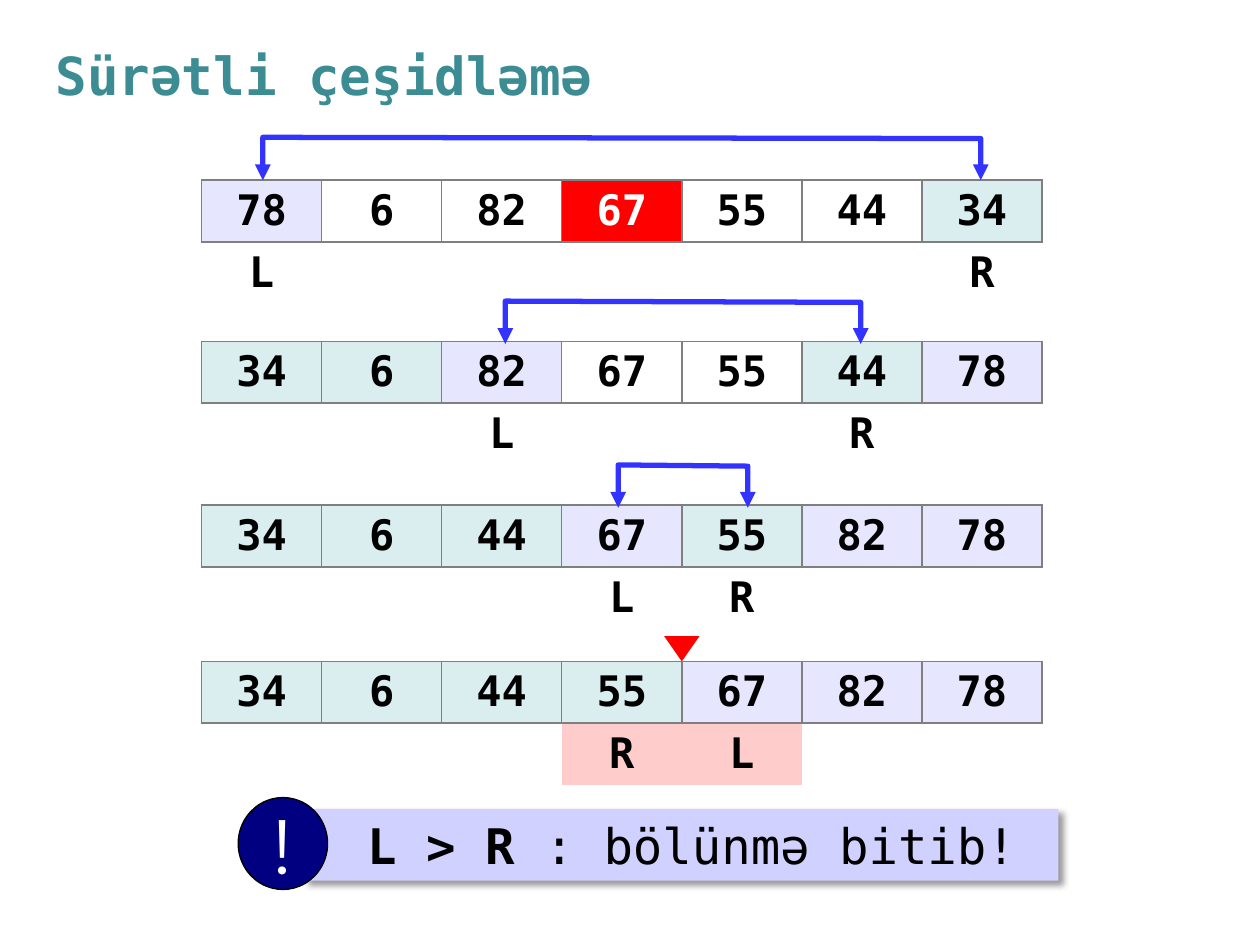
from lxml import etree
from pptx import Presentation
from pptx.dml.color import RGBColor
from pptx.enum.shapes import MSO_SHAPE
from pptx.enum.text import MSO_ANCHOR, PP_ALIGN
from pptx.oxml import parse_xml
from pptx.oxml.ns import nsdecls, qn
from pptx.util import Inches, Pt

CENTER, LEFT = PP_ALIGN.CENTER, PP_ALIGN.LEFT
MIDDLE, TOP = MSO_ANCHOR.MIDDLE, MSO_ANCHOR.TOP
RECTANGLE, OVAL, TRIANGLE = MSO_SHAPE.RECTANGLE, MSO_SHAPE.OVAL, MSO_SHAPE.ISOSCELES_TRIANGLE

MONO = "DejaVu Sans Mono"
COLORS = {
    "title": "3C8C93", "text": "000000", "light": "FFFFFF", "grid": "7F7F7F",
    "high": "E6E6FF", "low": "DAEDEF", "pivot": "FF0000", "crossed": "FFCCCC",
    "swap": "3333FF", "banner": "D1D1FF", "badge": "000080",
}
CELL_FILLS = {"H": "high", "L": "low", "P": "pivot", "X": "crossed"}
PLAIN_STYLE = "{2D5ABB26-0587-4C30-8999-92F81FD0307C}"

GRID_LEFT, GRID_WIDTH, COLUMNS = 1.6, 6.67, 7
COLUMN, ROW = GRID_WIDTH / COLUMNS, 0.49

# Each step: top, values, value fills, markers by column, marker fill, swap columns, arrow drop.
STEPS = [
    (1.43, (78, 6, 82, 67, 55, 44, 34), "H--P--L", {0: "L", 6: "R"}, "-", (0.51, 6.49), 0),
    (2.71, (34, 6, 82, 67, 55, 44, 78), "LLH--LH", {2: "L", 5: "R"}, "-", (2.53, 5.49), 0.02),
    (4.01, (34, 6, 44, 67, 55, 82, 78), "LLLHLHH", {3: "L", 4: "R"}, "-", (3.47, 4.55), 0.02),
    (5.25, (34, 6, 44, 55, 67, 82, 78), "LLLLHHH", {3: "R", 4: "L"}, "X", None, 0),
]


def rgb(name):
    """Return the named palette colour."""
    return RGBColor.from_string(COLORS[name])


def add_run(paragraph, text, size, color="text", bold=False, font=MONO):
    """Append one formatted run."""
    run = paragraph.add_run()
    run.text = text
    run.font.name, run.font.size, run.font.bold = font, Pt(size), bold
    run.font.color.rgb = rgb(color)


def add_figure(shapes, kind, left, top, width, height, color):
    """Add a flat filled preset shape without an outline."""
    figure = shapes.add_shape(kind, *map(Inches, (left, top, width, height)))
    figure.shadow.inherit = False
    figure.fill.solid()
    figure.fill.fore_color.rgb = rgb(color)
    figure.line.fill.background()
    return figure


def fill_title(title, left, top, width, height):
    """Place and format the title placeholder."""
    title.left, title.top, title.width, title.height = map(Inches, (left, top, width, height))
    title.text_frame.vertical_anchor = MIDDLE
    paragraph = title.text_frame.paragraphs[0]
    paragraph.alignment = LEFT
    add_run(paragraph, "Sürətli çeşidləmə", 30, "title", True)


def format_cell(cell, text, fill_code, sides):
    """Write a centred cell with its fill and the listed border sides."""
    if fill_code in CELL_FILLS:
        cell.fill.solid()
        cell.fill.fore_color.rgb = rgb(CELL_FILLS[fill_code])
    else:
        cell.fill.background()
    properties = cell._tc.get_or_add_tcPr()
    for index, side in enumerate(sides):
        properties.insert(index, parse_xml(
            f'<a:ln{side} {nsdecls("a")} w="12700"><a:solidFill>'
            f'<a:srgbClr val="{COLORS["grid"]}"/></a:solidFill></a:ln{side}>'))
    if text:
        paragraph = cell.text_frame.paragraphs[0]
        paragraph.alignment = CENTER
        add_run(paragraph, text, 24, "light" if fill_code == "P" else "text", True)


def add_array(slide, top, values, fills, markers, marker_fill):
    """Add one array state with its L and R markers beneath."""
    frame = slide.shapes.add_table(
        2, COLUMNS, *map(Inches, (GRID_LEFT, top, GRID_WIDTH, 2 * ROW)))
    table = frame.table
    table.first_row = table.horz_banding = False
    table._tbl.tblPr.find(qn("a:tableStyleId")).text = PLAIN_STYLE
    for column, value in enumerate(values):
        table.columns[column].width = Inches(COLUMN)
        format_cell(table.cell(0, column), str(value), fills[column], "LRTB")
        marker = markers.get(column, "")
        format_cell(table.cell(1, column), marker, marker_fill if marker else "-", "T")


def add_swap(slide, top, columns, drop):
    """Add a double-headed bracket arrow over two array columns."""
    start, end = (GRID_LEFT + column * COLUMN for column in columns)
    tip, rise = top + drop, top + drop - 0.34
    points = [(start, tip), (start, rise), (end, rise + 0.01), (end, tip)]
    corners = [tuple(map(Inches, point)) for point in points]
    builder = slide.shapes.build_freeform(*corners[0])
    builder.add_line_segments(corners[1:], close=False)
    arrow = builder.convert_to_shape()
    arrow.shadow.inherit = False
    arrow.fill.background()
    arrow.line.color.rgb = rgb("swap")
    arrow.line.width = Pt(3)
    outline = arrow.line._get_or_add_ln()
    etree.SubElement(outline, qn("a:round"))
    for end_tag in ("a:headEnd", "a:tailEnd"):
        etree.SubElement(outline, qn(end_tag), type="triangle")


def add_split_mark(slide, top):
    """Add the downward triangle at the split between columns four and five."""
    width, height = 0.28, 0.2
    mark = add_figure(slide.shapes, TRIANGLE, GRID_LEFT + 4 * COLUMN - width / 2,
                      top - height, width, height, "pivot")
    mark._element.spPr.get_or_add_xfrm().set("flipV", "1")


def add_conclusion(slide, left, top, width, height):
    """Add the shadowed banner with its round exclamation badge."""
    shapes = slide.shapes.add_group_shape().shapes
    badge_width = 0.71
    inset = 0.53
    banner = add_figure(shapes, RECTANGLE, left + inset, top + 0.09,
                        width - inset, 0.57, "banner")
    effects = banner._element.spPr.find(qn("a:effectLst"))
    effects.append(parse_xml(
        f'<a:outerShdw {nsdecls("a")} blurRad="50800" dist="38100" dir="2700000" '
        'algn="tl" rotWithShape="0"><a:srgbClr val="000000"><a:alpha val="40000"/>'
        '</a:srgbClr></a:outerShdw>'))
    frame = banner.text_frame
    frame.word_wrap = True
    frame.vertical_anchor = TOP
    frame.margin_left = Inches(0.5)
    paragraph = frame.paragraphs[0]
    paragraph.alignment = LEFT
    add_run(paragraph, "L > R ", 28, bold=True)
    add_run(paragraph, ": bölünmə bitib!", 28)

    badge = add_figure(shapes, OVAL, left, top, badge_width, height, "badge")
    badge.line.color.rgb = rgb("text")
    badge.line.width = Pt(0.75)
    badge.text_frame.word_wrap = False
    badge.text_frame.vertical_anchor = MIDDLE
    sign = badge.text_frame.paragraphs[0]
    sign.alignment = CENTER
    add_run(sign, "!", 44, "light", font="Montserrat")


def main():
    """Build and save the quicksort partition slide."""
    deck = Presentation()
    deck.slide_width, deck.slide_height = Inches(10), Inches(7.5)
    slide = deck.slides.add_slide(deck.slide_layouts[5])
    fill_title(slide.shapes.title, 0.34, 0.33, 9.16, 0.52)
    for top, values, fills, markers, marker_fill, swap, drop in STEPS:
        add_array(slide, top, values, fills, markers, marker_fill)
        if swap:
            add_swap(slide, top, swap, drop)
        else:
            add_split_mark(slide, top)
    add_conclusion(slide, 1.89, 6.33, 6.51, 0.73)
    deck.save("out.pptx")


if __name__ == "__main__":
    main()
